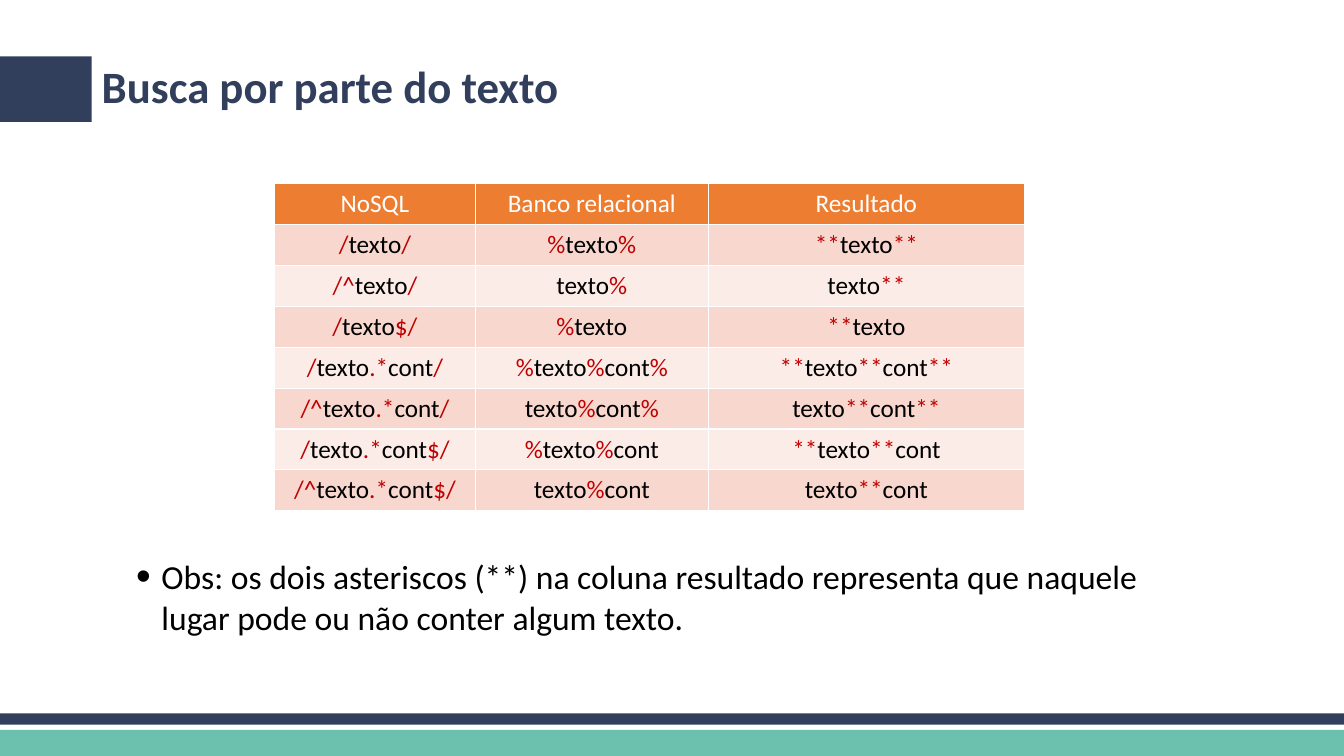
"""Build the slide on searching by part of a text."""
from itertools import groupby

from lxml.etree import SubElement
from pptx import Presentation
from pptx.dml.color import RGBColor
from pptx.enum.shapes import MSO_SHAPE
from pptx.enum.text import MSO_ANCHOR, PP_ALIGN
from pptx.oxml.ns import qn
from pptx.util import Cm, Pt

NAVY, TEAL, ORANGE = "313F5C", "6CC1AE", "ED7D31"
WHITE, BLACK, RED = "FFFFFF", "000000", "C00000"
BANDS = ["F8D7CE", "FCECE8"]


def paint(fill, color):
    fill.solid()
    fill.fore_color.rgb = RGBColor.from_string(color)


def write(para, text, size=18, color=BLACK, bold=False):
    span = para.add_run()
    span.text = text
    span.font.name = "Calibri"
    span.font.size = Pt(size)
    span.font.bold = bold
    span.font.color.rgb = RGBColor.from_string(color)


deck = Presentation()
deck.slide_width, deck.slide_height = Cm(33.87), Cm(19.05)
page = deck.slides.add_slide(deck.slide_layouts[5])

bars = [
    (18.39, 33.87, 0.66, TEAL),
    (17.98, 33.87, 0.28, NAVY),
    (1.42, 2.31, 1.65, NAVY),
]
for top, width, height, color in bars:
    bar = page.shapes.add_shape(MSO_SHAPE.RECTANGLE, 0, Cm(top), Cm(width), Cm(height))
    bar.shadow.inherit = False
    paint(bar.fill, color)
    bar.line.fill.background()

title = page.shapes.title
title.left, title.top, title.width, title.height = Cm(2.31), Cm(0.91), Cm(29.21), Cm(2.67)
title.text_frame.vertical_anchor = MSO_ANCHOR.MIDDLE
para = title.text_frame.paragraphs[0]
para.alignment = PP_ALIGN.LEFT
para.line_spacing = 0.9
write(para, "Busca por parte do texto", size=32, color=NAVY, bold=True)

headings = ["NoSQL", "Banco relacional", "Resultado"]
searches = [
    ["/texto/", "%texto%", "**texto**"],
    ["/^texto/", "texto%", "texto**"],
    ["/texto$/", "%texto", "**texto"],
    ["/texto.*cont/", "%texto%cont%", "**texto**cont**"],
    ["/^texto.*cont/", "texto%cont%", "texto**cont**"],
    ["/texto.*cont$/", "%texto%cont", "**texto**cont"],
    ["/^texto.*cont$/", "texto%cont", "texto**cont"],
]
widths = [5.06, 5.87, 7.97]
row_height = 1.03
row_count = len(searches) + 1
table = page.shapes.add_table(row_count, len(headings), Cm(6.92), Cm(4.63),
                              Cm(sum(widths)), Cm(row_height * row_count)).table
for column, width in zip(table.columns, widths):
    column.width = Cm(width)
for row in table.rows:
    row.height = Cm(row_height)

for row_index, texts in enumerate([headings] + searches):
    for column_index, text in enumerate(texts):
        cell = table.cell(row_index, column_index)
        para = cell.text_frame.paragraphs[0]
        para.alignment = PP_ALIGN.CENTER
        if row_index == 0:
            paint(cell.fill, ORANGE)
            write(para, text, color=WHITE)
            continue
        paint(cell.fill, BANDS[(row_index - 1) % 2])
        for is_word, letters in groupby(text, str.isalpha):
            write(para, "".join(letters), color=BLACK if is_word else RED)

note = page.shapes.add_textbox(Cm(3.18), Cm(13.89), Cm(27.51), Cm(4.27))
note.text_frame.word_wrap = True
para = note.text_frame.paragraphs[0]
properties = para._p.get_or_add_pPr()
properties.set("marL", str(Cm(0.64)))
properties.set("indent", str(-Cm(0.64)))
SubElement(properties, qn("a:buSzPct"), val="125000")
SubElement(properties, qn("a:buFont"), typeface="Arial")
SubElement(properties, qn("a:buChar"), char="•")
write(para, "Obs: os dois asteriscos (**) na coluna resultado representa que naquele "
            "lugar pode ou não conter algum texto.", size=24)

deck.save("out.pptx")
